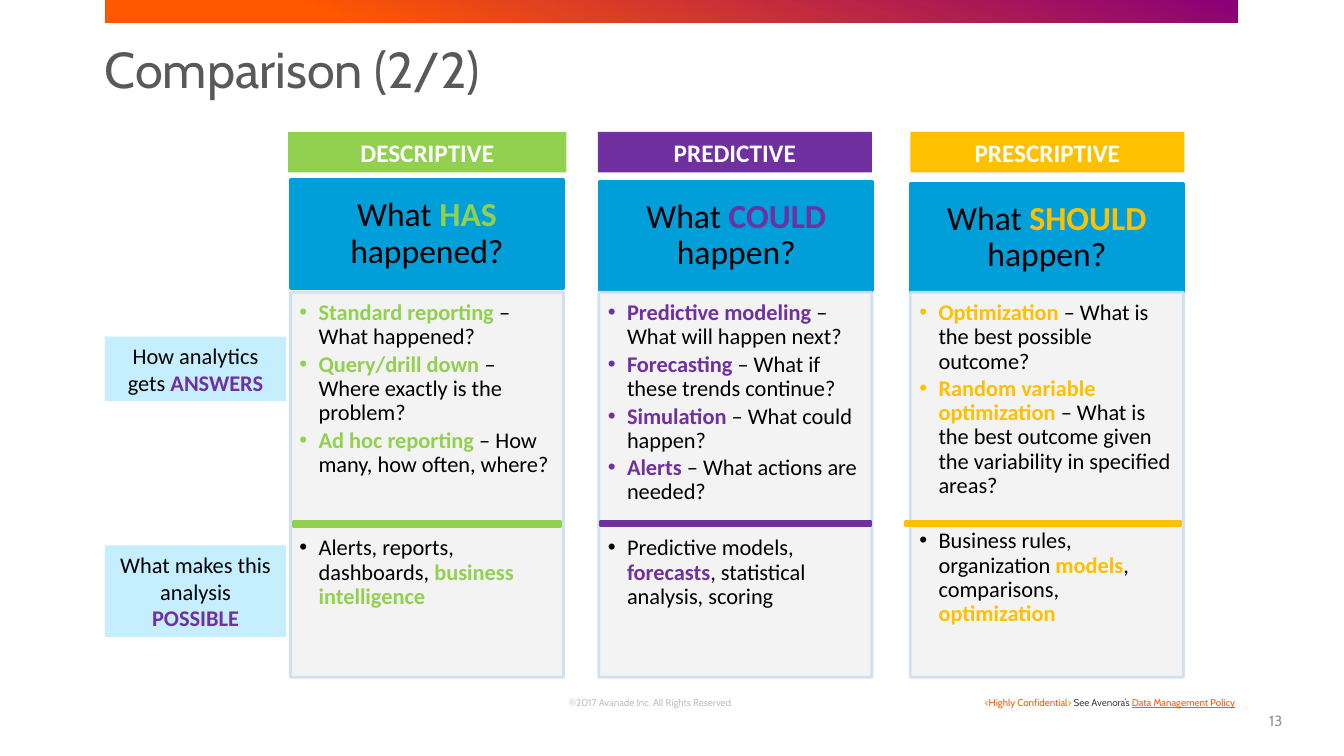
from lxml.etree import SubElement
from pptx import Presentation
from pptx.dml.color import RGBColor
from pptx.enum.shapes import MSO_SHAPE as Preset
from pptx.enum.text import MSO_ANCHOR as Anchor, PP_ALIGN as Align
from pptx.oxml.ns import qn
from pptx.util import Pt

COLORS = {
    "green": "92D050", "purple": "7030A0", "gold": "FFC000",
    "blue": "009FDA", "pale": "C5EFFF", "panel": "F2F2F2", "edge": "CCDFF1",
    "black": "000000", "white": "FFFFFF", "title": "595959", "orange": "FF5800",
    "plum": "890078", "copyright": "BFBFBF", "policy": "464646", "number": "939393",
}

# A run is plain text, or (text, color) for a coloured one.
TITLE = "Comparison (2/2)"
COPYRIGHT = "©2017 Avanade Inc. All Rights Reserved."
POLICY = [("<Highly Confidential> ", "orange"), "See Avenora’s "]
POLICY_LINK = ("Data Management Policy", "orange")
PAGE = "13"

COLUMNS = [
    {
        "accent": "green", "name": "DESCRIPTIVE",
        "question": ["What ", ("HAS", "green"), " happened?"],
        "answers": [
            [("Standard reporting ", "green"), "– What happened?"],
            [("Query/drill down ", "green"), "– Where exactly is the problem?"],
            [("Ad hoc reporting ", "green"), "– How many, how often, where?"],
        ],
        "possible": ["Alerts, reports, dashboards, ", ("business intelligence", "green")],
        "name_at": (205.9, 198.7), "question_at": (207.4, 128.2), "panel_left": 207.4,
        "rule_at": (209.5, 190.8, 4.3), "possible_top": 376.8,
    },
    {
        "accent": "purple", "name": "PREDICTIVE",
        "question": ["What ", ("COULD", "purple"), " happen?"],
        "answers": [
            [("Predictive modeling ", "purple"), "– What will happen next?"],
            [("Forecasting", "purple"), " – What if these trends continue?"],
            [("Simulation", "purple"), " – What could happen?"],
            [("Alerts ", "purple"), "– What actions are needed?"],
        ],
        "possible": ["Predictive models, ", ("forecasts", "purple"),
                     ", statistical analysis, scoring"],
        "name_at": (427, 195.8), "question_at": (428.4, 129.6), "panel_left": 427.7,
        "rule_at": (429.1, 193, 3.6), "possible_top": 376.8,
    },
    {
        "accent": "gold", "name": "PRESCRIPTIVE",
        "question": ["What ", ("SHOULD ", "gold"), "happen?"],
        "answers": [
            [("Optimization", "gold"), " – What is the best possible outcome?"],
            [("Random variable optimization ", "gold"),
             "– What is the best outcome given the variability in specified areas?"],
        ],
        "possible": ["Business rules, organization ", ("models", "gold"),
                     ", comparisons, ", ("optimization", "gold")],
        "name_at": (650.2, 195.8), "question_at": (650.2, 131), "panel_left": 650.2,
        "rule_at": (646.6, 196.6, 3.6), "possible_top": 371.8,
    },
]
ROW_LABELS = [
    (["How analytics gets ", ("ANSWERS", "purple")], 240.5, 46.1),
    (["What makes this analysis ", ("POSSIBLE", "purple")], 389.5, 65.5),
]

COLUMN_WIDTH = 195.1
PANEL_TOP, PANEL_HEIGHT = 208.8, 275
PANEL_BOTTOM = PANEL_TOP + PANEL_HEIGHT
RULE_TOP = 372.2
INDENT = 13.7

deck = Presentation()
deck.slide_width, deck.slide_height = Pt(960), Pt(540)
slide = deck.slides.add_slide(deck.slide_layouts[6])


def rgb(color):
    return RGBColor.from_string(COLORS[color])


def add_box(left, top, width, height, fill=None, line=None, alpha=None):
    """Rectangle, or a text box when there is no fill; alpha is in percent."""
    place = [Pt(v) for v in (left, top, width, height)]
    if fill is None:
        return slide.shapes.add_textbox(*place)
    box = slide.shapes.add_shape(Preset.RECTANGLE, *place)
    box.shadow.inherit = False
    box.fill.solid()
    box.fill.fore_color.rgb = rgb(fill)
    if line:
        box.line.color.rgb = rgb(line)
        box.line.width = Pt(2)
    else:
        box.line.fill.background()
    if alpha:
        for color in box._element.spPr.iter(qn("a:srgbClr")):
            SubElement(color, qn("a:alpha"), val=str(alpha * 1000))
    return box


def write(box, paragraphs, size=16, font="Calibri", color="black", align=Align.CENTER,
          anchor=Anchor.MIDDLE, insets=(7.2, 3.6, 7.2, 3.6), spacing=None, after=0,
          bullets=False, accent_bold=True, bold=False):
    """Fill a shape with paragraphs, each a list of runs; return the text frame."""
    frame = box.text_frame
    frame.word_wrap = True
    frame.vertical_anchor = anchor
    (frame.margin_left, frame.margin_top,
     frame.margin_right, frame.margin_bottom) = [Pt(v) for v in insets]
    for i, runs in enumerate(paragraphs):
        paragraph = frame.add_paragraph() if i else frame.paragraphs[0]
        paragraph.alignment = align
        paragraph.space_after = Pt(after)
        if spacing:
            paragraph.line_spacing = spacing
        if bullets:
            props = paragraph._p.get_or_add_pPr()
            props.set("marL", str(Pt(INDENT)))
            props.set("indent", str(-Pt(INDENT)))
            SubElement(props, qn("a:buFont"), typeface="Arial")
            SubElement(props, qn("a:buChar"), char="•")
        for part in runs:
            accented = isinstance(part, tuple)
            text, shade = part if accented else (part, color)
            run = paragraph.add_run()
            run.text = text
            run.font.size = Pt(size)
            run.font.name = font
            run.font.bold = bold or (accented and accent_bold)
            run.font.color.rgb = rgb(shade)
    return frame


band = add_box(75.6, 0, 808.6, 16.2, "orange")
band.fill.gradient()
band.fill.gradient_angle = 250
for stop, (position, shade) in zip(band.fill.gradient_stops, [(0, "plum"), (0.8, "orange")]):
    stop.position = position
    stop.color.rgb = rgb(shade)

write(add_box(74.9, 32.4, 854.6, 72), [[TITLE]], size=36, font="Cabin", color="title",
      align=Align.LEFT, anchor=Anchor.TOP, insets=(0, 0, 0, 0), spacing=0.9)

for column in COLUMNS:
    accent = column["accent"]
    left = column["panel_left"]
    write(add_box(*column["question_at"], COLUMN_WIDTH, 77.8, "blue", "blue"),
          [column["question"]], size=24, insets=(13.7, 7.9, 13.7, 7.9), spacing=0.9)
    add_box(left, PANEL_TOP, COLUMN_WIDTH, PANEL_HEIGHT, "panel", "edge", alpha=90)
    for bullets, top, bottom in [
        (column["answers"], PANEL_TOP, RULE_TOP),
        ([column["possible"]], column["possible_top"], PANEL_BOTTOM),
    ]:
        write(add_box(left, top, COLUMN_WIDTH, bottom - top), bullets, align=Align.LEFT,
              anchor=Anchor.TOP, insets=(6.5, 6.5, 8.6, 0), spacing=0.9, after=2.4,
              bullets=True)
    rule_left, rule_width, rule_height = column["rule_at"]
    add_box(rule_left, RULE_TOP, rule_width, rule_height, accent, accent)
    name_left, name_width = column["name_at"]
    write(add_box(name_left, 94.3, name_width, 28.8, accent), [[column["name"]]],
          size=18, color="white", bold=True)

for label, top, height in ROW_LABELS:
    write(add_box(74.9, top, 129.6, height, "pale"), [label])

write(add_box(367.2, 493.2, 195.8, 13), [[COPYRIGHT]], size=7, font="Cabin",
      color="copyright", anchor=Anchor.BOTTOM, insets=(0, 0, 0, 0), spacing=0.9)
policy = write(add_box(670.3, 493.9, 218.9, 15.8), [POLICY + [POLICY_LINK]], size=7,
               font="Cabin", color="policy", align=Align.RIGHT, anchor=Anchor.TOP,
               accent_bold=False)
policy.paragraphs[0].runs[-1].font.underline = True
write(add_box(884.2, 500.4, 38.9, 28.8), [[PAGE]], size=10.5, font="Cabin",
      color="number", align=Align.RIGHT)

deck.save("out.pptx")
